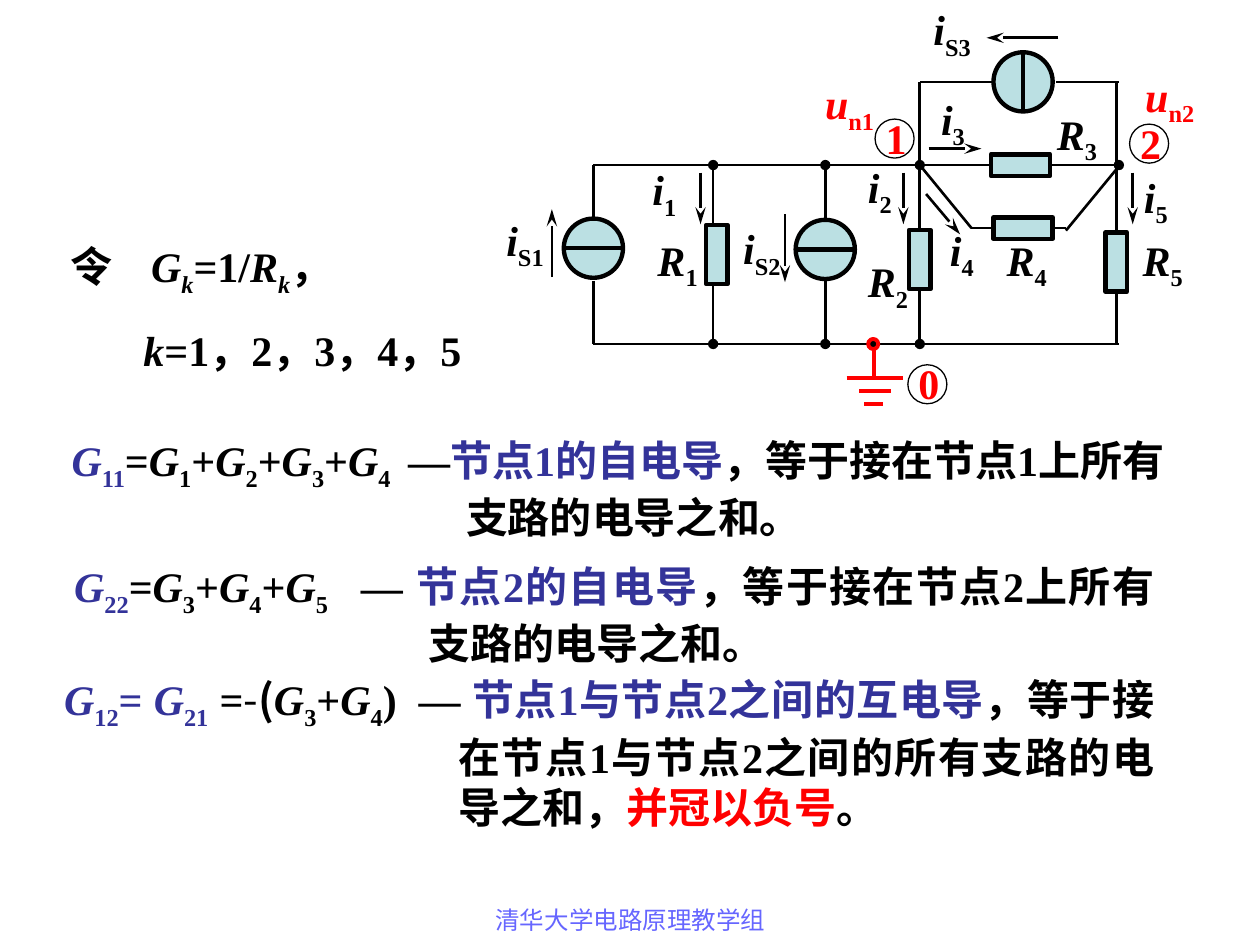
"""Builds a slide on self and mutual conductance in nodal analysis of a circuit."""
import pptx
import pptx.util
import pptx.dml.color
import pptx.enum.shapes
import pptx.enum.text
import pptx.oxml.ns
from lxml import etree

Inches, Pt = pptx.util.Inches, pptx.util.Pt
SHAPE = pptx.enum.shapes.MSO_SHAPE
ALIGN = pptx.enum.text.PP_ALIGN
COLORS = {"black": "000000", "blue": "333399", "red": "FF0000",
          "body": "BBE0E3", "footer": "6666FF"}
SERIF, SANS = "Times New Roman", "Noto Sans CJK SC"


def sum_of(*indices):
    """Return the runs of G1+G2+... for the given indices."""
    runs = []
    for n in indices:
        runs += [("+", "")] if runs else []
        runs += [("G", "italic"), (str(n), "sub")]
    return runs


EQUATIONS = [
    ((0.47, 3.4, 9.19, 0.96), 3.13, ALIGN.LEFT,
     [("G", "blue italic"), ("11", "blue sub"), ("=", ""), *sum_of(1, 2, 3, 4),
      (" ", "", 4), ("—", ""), ("节点1的自电导", "blue"),
      ("，等于接在节点1上所有支路的电导之和。", "")]),
    ((0.49, 4.4, 8.77, 0.96), 2.81, ALIGN.JUSTIFY,
     [("G", "blue italic"), ("22", "blue sub"), ("=", ""), *sum_of(3, 4, 5),
      (" ", "", 12), ("— ", ""), ("节点2的自电导", "blue"),
      ("，等于接在节点2上所有支路的电导之和。", "")]),
    ((0.41, 5.3, 8.85, 1.36), 3.13, ALIGN.JUSTIFY,
     [("G", "blue italic"), ("12", "blue sub"), ("= ", "blue"), ("G", "blue italic"),
      ("21", "blue sub"), (" =", ""), ("-", "sans light"), ("(", "sans"),
      *sum_of(3, 4), (")", ""), (" ", "", 6), ("— ", ""),
      ("节点1与节点2之间的互电导", "blue"),
      ("，等于接在节点1与节点2之间的所有支路的电导之和，", ""),
      ("并冠以负号", "red"), ("。", "")]),
]
LET_G = [("令\t", ""), ("G", "italic"), ("k", "italic sub"), ("=1/", ""),
         ("R", "italic"), ("k", "italic sub"), ("，", "")]
LET_K = [("k", "italic"), ("=1，2，3，4，5", "")]

LEFT, RIGHT, TOP, BUS, GROUND = 4.71, 8.88, 0.65, 1.31, 2.73
X_R1, X_S2, X_R2, X_R5 = 5.66, 6.55, 7.3, 8.86
WIRES = [
    (LEFT, 2.23, LEFT, GROUND), (LEFT, 1.73, LEFT, BUS),
    (LEFT, GROUND, RIGHT, GROUND), (LEFT, BUS, RIGHT, BUS, "", "oval"),
    (X_R1, GROUND, X_R1, BUS, "oval", "oval"),
    (X_S2, 1.76, X_S2, BUS, "", "oval"), (X_S2, 2.23, X_S2, GROUND, "", "oval"),
    (X_R2, BUS, X_R2, GROUND, "oval", "oval"), (X_R2, BUS, X_R2, TOP),
    (8.38, TOP, RIGHT, TOP), (7.88, TOP, X_R2, TOP), (X_R5, TOP, X_R5, GROUND),
    (7.71, 1.81, 8.46, 1.81), (X_R2, BUS, 7.71, 1.81), (RIGHT, 1.32, 8.46, 1.83),
]
ARROWS = [(8.4, 0.3, 7.83, 0.3), (4.38, 2.2, 4.38, 1.66), (6.23, 1.7, 6.23, 2.24),
          (7.35, 1.54, 7.62, 1.86), (7.37, 1.18, 7.79, 1.18),
          *[(x, 1.37, x, 1.78) for x in (5.56, 7.17, 8.99)]]
SOURCES = [(LEFT, 1.97, "across"), (X_S2, 1.98, "across"), (8.12, TOP, "upright")]
RESISTORS = [(5.69, 2.02, "upright"), (X_R2, 2.06, "upright"), (X_R5, 2.08, "upright"),
             (8.1, BUS, "across"), (8.12, 1.81, "across")]
LABELS = [("u", "n1", 6.45, 0.57), ("u", "n2", 8.99, 0.51),
          ("i", "S1", 3.92, 1.65), ("i", "S2", 5.8, 1.72), ("i", "S3", 7.31, -0.02),
          ("i", "1", 5.08, 1.25), ("i", "2", 6.79, 1.23), ("i", "3", 7.37, 0.69),
          ("i", "4", 7.44, 1.73), ("i", "5", 8.98, 1.31),
          ("R", "1", 5.12, 1.81), ("R", "2", 6.79, 1.98), ("R", "3", 8.29, 0.81),
          ("R", "4", 7.89, 1.81), ("R", "5", 8.97, 1.81)]
LABEL_WIDTHS = {"un": 0.62, "iS": 0.55, "R": 0.54, "i": 0.41}
NODES = [("0", 7.36, 3.05), ("1", 7.1, 1.1), ("2", 9.12, 1.14)]
GROUND_LINES = [(6.72, 3, 7.17, 3), (6.82, 3.1, 7.07, 3.1),
                (6.86, 3.21, 7.01, 3.21), (6.94, GROUND, 6.94, 3.02)]

prs = pptx.Presentation()
prs.slide_width, prs.slide_height = Inches(10), Inches(7.5)
shapes = prs.slides.add_slide(prs.slide_layouts[6]).shapes


def rgb(name):
    return pptx.dml.color.RGBColor.from_string(COLORS[name])


def child(parent, tag, **attrs):
    return etree.SubElement(parent, pptx.oxml.ns.qn(tag), **attrs)


def add_line(x1, y1, x2, y2, head="", tail="", color="black", width=1.5):
    sp = shapes.add_connector(pptx.enum.shapes.MSO_CONNECTOR.STRAIGHT,
                              Inches(x1), Inches(y1), Inches(x2), Inches(y2))
    sp.line.color.rgb, sp.line.width = rgb(color), Pt(width)
    for tag, kind in (("a:headEnd", head), ("a:tailEnd", tail)):
        if kind:
            length = "lg" if kind == "stealth" else "med"
            child(sp.line._get_or_add_ln(), tag, type=kind, w="med", len=length)
    child(sp._element.spPr, "a:effectLst")


def add_body(kind, cx, cy, w, h, fill="body", line="black", width=2.5):
    sp = shapes.add_shape(kind, Inches(cx - w / 2), Inches(cy - h / 2), Inches(w), Inches(h))
    sp.shadow.inherit = False
    if fill:
        sp.fill.solid()
        sp.fill.fore_color.rgb = rgb(fill)
    else:
        sp.fill.background()
    sp.line.color.rgb, sp.line.width = rgb(line), Pt(width)


def add_runs(p, runs, size=24, bold=True):
    p.font.size, p.font.bold = Pt(size), bold
    for text, style, *tracking in runs:
        flags = style.split()
        r = p.add_run()
        r.text = text
        r.font.size, r.font.bold = Pt(size), bold and "light" not in flags
        r.font.italic = "italic" in flags
        r.font.color.rgb = rgb(next((f for f in flags if f in COLORS), "black"))
        r.font.name = SANS if "sans" in flags else SERIF
        rPr = r._r.get_or_add_rPr()
        child(rPr, "a:ea", typeface=SANS)
        if "sub" in flags:
            rPr.set("baseline", "-25000")
        for points in tracking:
            rPr.set("spc", str(points * 100))


def add_text(box, runs, align=ALIGN.LEFT, **font):
    tf = shapes.add_textbox(*map(Inches, box)).text_frame
    tf.word_wrap = True
    tf.paragraphs[0].alignment = align
    add_runs(tf.paragraphs[0], runs, **font)
    return tf


def set_indent(p, margin, first):
    pPr = p._p.get_or_add_pPr()
    pPr.set("marL", str(Inches(margin)))
    pPr.set("indent", str(Inches(first)))


for box, hang, align, runs in EQUATIONS:
    tf = add_text(box, runs, align=align)
    set_indent(tf.paragraphs[0], hang, -hang)

tf = add_text((0.46, 1.86, 3.41, 1.57), [])
p = tf.paragraphs[0]
pPr = p._p.get_or_add_pPr()
pPr.insert(0, pPr.makeelement(pptx.oxml.ns.qn("a:tabLst")))
child(pPr[0], "a:tab", pos=str(Inches(0.64)), algn="l")
add_runs(p, LET_G)
p = tf.add_paragraph()
p.space_before = Pt(15)
set_indent(p, 0, 0.58)
add_runs(p, LET_K)

for wire in WIRES:
    add_line(*wire)
for arrow in ARROWS:
    add_line(*arrow, tail="stealth")
for cx, cy, way in SOURCES:
    add_body(SHAPE.OVAL, cx, cy, 0.47, 0.47)
    dx, dy = (0.24, 0) if way == "across" else (0, 0.24)
    add_line(cx - dx, cy - dy, cx + dx, cy + dy, width=2.5)
for cx, cy, way in RESISTORS:
    w, h = (0.47, 0.17) if way == "across" else (0.17, 0.47)
    add_body(SHAPE.RECTANGLE, cx, cy, w, h)
for line in GROUND_LINES:
    add_line(*line, color="red", width=2.25)
add_body(SHAPE.OVAL, 6.93, GROUND, 0.08, 0.08, "black", "red", 2.25)

for symbol, index, x, y in LABELS:
    color = "red" if symbol == "u" else "black"
    w = LABEL_WIDTHS.get(symbol + index[0], LABEL_WIDTHS.get(symbol))
    add_text((x, y, w, 0.56), [(symbol, color + " italic"), (index, color + " sub")])
for digit, cx, cy in NODES:
    add_text((cx - 0.17, cy - 0.26, 0.34, 0.5), [(digit, "red")])
    add_body(SHAPE.OVAL, cx, cy, 0.31, 0.31, fill=None, width=0.75)

add_text((3.42, 7.13, 3.17, 0.52), [("清华大学电路原理教学组", "footer")],
         align=ALIGN.CENTER, size=14, bold=False)
prs.save("out.pptx")
